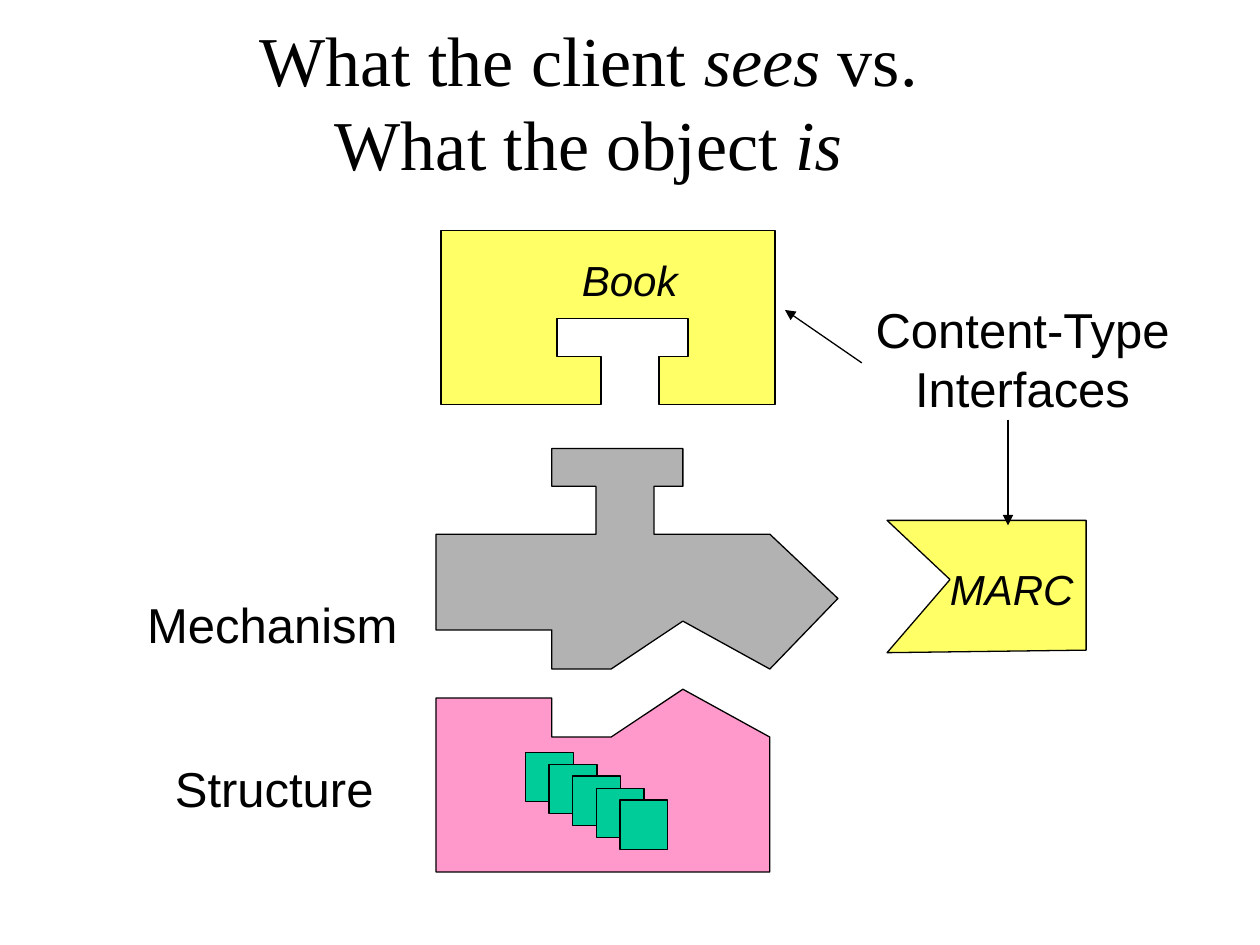
from dataclasses import dataclass

from lxml import etree
from pptx import Presentation
from pptx.dml.color import RGBColor
from pptx.enum.shapes import MSO_CONNECTOR, MSO_SHAPE
from pptx.enum.text import MSO_ANCHOR, MSO_AUTO_SIZE, PP_ALIGN
from pptx.oxml.ns import qn
from pptx.util import Inches, Pt

STRAIGHT, RECT = MSO_CONNECTOR.STRAIGHT, MSO_SHAPE.RECTANGLE
LEFT, CENTER, MIDDLE = PP_ALIGN.LEFT, PP_ALIGN.CENTER, MSO_ANCHOR.MIDDLE
NO_FIT, GROW = MSO_AUTO_SIZE.NONE, MSO_AUTO_SIZE.SHAPE_TO_FIT_TEXT


@dataclass(frozen=True)
class Theme:
    """Colours, fonts and sizes of the slide."""
    ink: RGBColor = RGBColor(0x00, 0x00, 0x00)
    interface: RGBColor = RGBColor(0xFF, 0xFF, 0x66)
    mechanism: RGBColor = RGBColor(0xB2, 0xB2, 0xB2)
    structure: RGBColor = RGBColor(0xFF, 0x99, 0xCC)
    item: RGBColor = RGBColor(0x00, 0xCC, 0x99)
    title_font: str = "Times New Roman"
    body_font: str = "Arial"
    title_size: Pt = Pt(40)
    label_size: Pt = Pt(28)
    type_size: Pt = Pt(24)
    line: Pt = Pt(0.75)


THEME = Theme()
PLUG = [(1.27, 0.68), (1.27, 0.3), (0.92, 0.3), (0.92, 0),
        (1.96, 0), (1.96, 0.3), (1.73, 0.3), (1.73, 0.68)]
JOINT = [(0, 0.07), (0.92, 0.07), (0.92, 0.38), (1.39, 0.38), (1.96, 0), (2.65, 0.38)]


def shift(points, dy):
    """Move an outline down by dy inches."""
    return [(x, y + dy) for x, y in points]


def style_run(r, font, size, italic=False):
    """Give a run its font, size and colour."""
    r.font.name, r.font.size, r.font.italic = font, size, italic
    r.font.color.rgb = THEME.ink


def paint(sp, color):
    """Give a shape its fill and outline."""
    sp.shadow.inherit = False
    sp.fill.solid()
    sp.fill.fore_color.rgb = color
    sp.line.color.rgb = THEME.ink
    sp.line.width = THEME.line


def add_outline(slide, left, top, points, color):
    """Draw a closed outline whose points are relative to left and top."""
    pts = [(Inches(left + x), Inches(top + y)) for x, y in points]
    builder = slide.shapes.build_freeform(*pts[0])
    builder.add_line_segments(pts[1:], close=True)
    paint(builder.convert_to_shape(), color)


def add_label(slide, left, top, width, height, text, size, italic=False, align=LEFT):
    """Place an unwrapped text label."""
    sp = slide.shapes.add_textbox(Inches(left), Inches(top), Inches(width), Inches(height))
    tf = sp.text_frame
    tf.word_wrap, tf.auto_size = False, GROW
    tf.text = text
    for p in tf.paragraphs:
        p.alignment = align
        for r in p.runs:
            style_run(r, THEME.body_font, size, italic)


def add_arrow(slide, x1, y1, x2, y2):
    """Draw a thin arrow with its head at the second point."""
    cxn = slide.shapes.add_connector(STRAIGHT, Inches(x1), Inches(y1), Inches(x2), Inches(y2))
    cxn.line.color.rgb = THEME.ink
    cxn.line.width = THEME.line
    etree.SubElement(cxn.line._get_or_add_ln(), qn("a:tailEnd"), type="triangle")
    etree.SubElement(cxn._element.spPr, qn("a:effectLst"))


def add_title(slide, left, top, width, height):
    """Fill the title with two lines and stressed verbs."""
    sp = slide.shapes.title
    sp.left, sp.top, sp.width, sp.height = map(Inches, (left, top, width, height))
    tf = sp.text_frame
    tf.auto_size, tf.vertical_anchor, tf.word_wrap = NO_FIT, MIDDLE, True
    p = tf.paragraphs[0]
    p.alignment = CENTER
    for text in ("What the client ", "sees", " vs."):
        p.add_run().text = text
    p.add_line_break()
    for text in ("What the object ", "is"):
        p.add_run().text = text
    for r in p.runs:
        style_run(r, THEME.title_font, THEME.title_size, r.text in ("sees", "is"))


def add_structure(slide, left, top, width, height):
    """Draw the structure block with its cascade of items."""
    add_outline(slide, left, top, JOINT + [(width, height), (0, height)], THEME.structure)
    group = slide.shapes.add_group_shape()
    for i in range(5):
        x, y = left + 0.71 + 0.75 * i / 4, top + 0.5 + 0.38 * i / 4
        sp = group.shapes.add_shape(RECT, Inches(x), Inches(y), Inches(0.38), Inches(0.39))
        paint(sp, THEME.item)
    add_label(slide, left - 2.17, top + 0.5, 1.82, 0.57, "Structure", THEME.label_size)


def add_mechanism(slide, left, top, width, height):
    """Draw the mechanism block with its plug, joint and point."""
    joint = shift(JOINT, height - 0.38)
    points = [(0, 0.68)] + PLUG + [(2.65, 0.68), (width, 1.19)] + joint[::-1]
    add_outline(slide, left, top, points, THEME.mechanism)
    add_label(slide, left - 2.39, top + 1.11, 2.23, 0.57, "Mechanism", THEME.label_size)


def add_book(slide, left, top, width, height):
    """Draw the book interface with a socket for the plug."""
    socket = shift(PLUG, height - 0.68)
    points = [(0, 0), (0, height)] + socket + [(width, height), (width, 0)]
    add_outline(slide, left, top, points, THEME.interface)
    add_label(slide, left + 1.02, top + 0.14, 0.96, 0.5, "Book", THEME.type_size, True)


def add_marc(slide, left, top, width, height):
    """Draw the MARC interface with its notch."""
    points = [(0, 0), (0.5, 0.47), (0, height), (width, height - 0.02), (width, 0)]
    add_outline(slide, left, top, points, THEME.interface)
    add_label(slide, left + 0.4, top + 0.29, 1.18, 0.5, "MARC", THEME.type_size, True)


def add_interfaces(slide, left, top, width, height):
    """Place the interface label and its arrows."""
    add_label(slide, left, top, width, height, "Content-Type\nInterfaces",
              THEME.label_size, align=CENTER)
    add_arrow(slide, left, top + 0.55, left - 0.61, top + 0.13)
    add_arrow(slide, left + 1.16, top + 1, left + 1.16, top + 1.84)


def main():
    """Build and save the slide."""
    prs = Presentation()
    prs.slide_width, prs.slide_height = Inches(10), Inches(7.5)
    slide = prs.slides.add_slide(prs.slide_layouts[5])
    add_title(slide, 0.42, 0.17, 8.5, 1.25)
    add_structure(slide, 3.46, 5.47, 2.65, 1.45)
    add_mechanism(slide, 3.46, 3.56, 3.19, 1.75)
    add_book(slide, 3.5, 1.83, 2.65, 1.38)
    add_marc(slide, 7.04, 4.13, 1.58, 1.05)
    add_interfaces(slide, 6.84, 2.33, 2.55, 1.04)
    prs.save("out.pptx")


if __name__ == "__main__":
    main()
